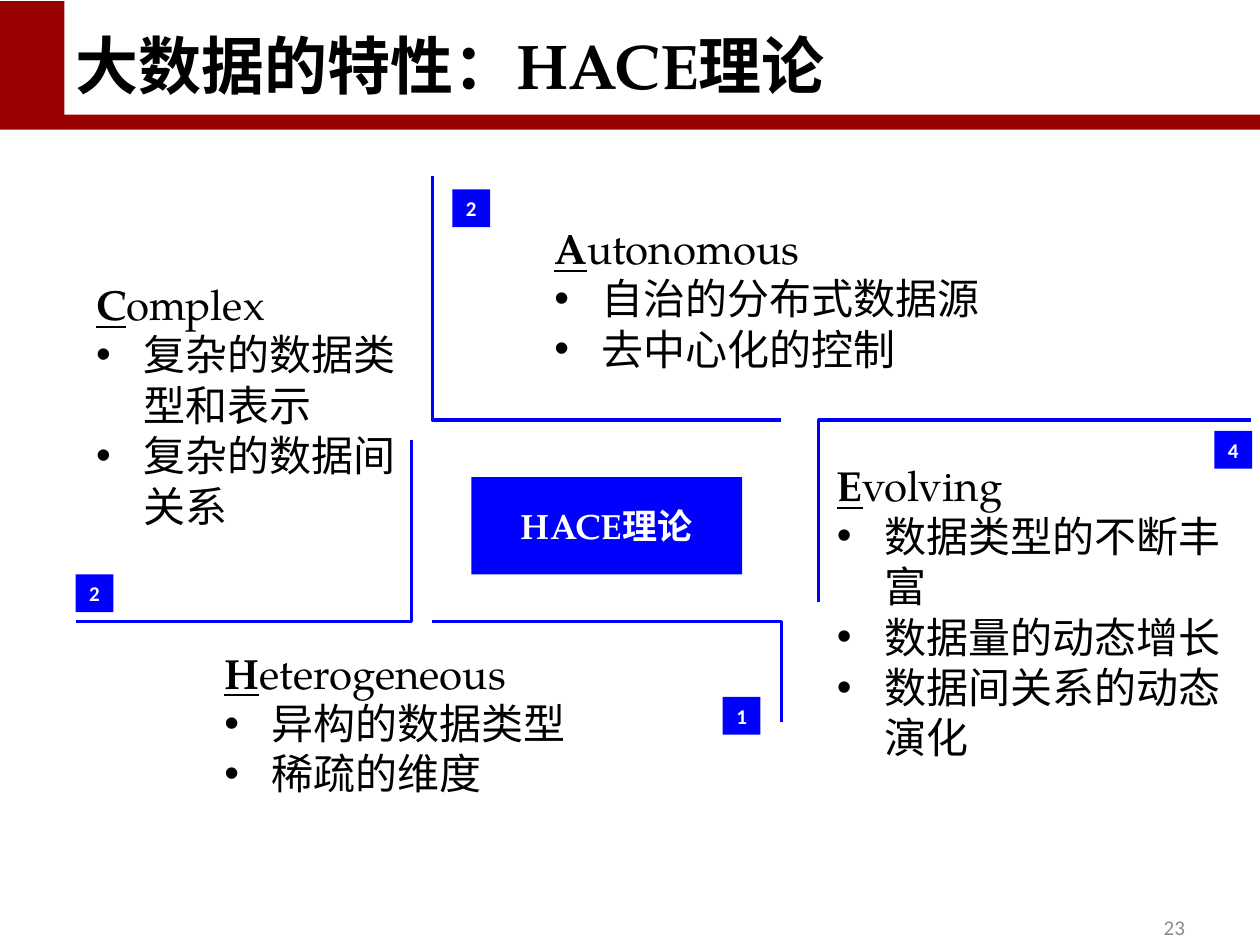
from lxml import etree
from pptx import Presentation
from pptx import util as u
from pptx.dml.color import RGBColor
from pptx.enum import shapes, text
from pptx.oxml import ns

Pt = u.Pt
LATIN, CJK, SANS = "TeX Gyre Pagella", "Noto Sans CJK SC", "Calibri"
BLUE, WHITE, BLACK = "0000FF", "FFFFFF", "000000"


def paint(color_format, color):
    color_format.rgb = RGBColor.from_string(color)


def write(paragraph, words, face, color, **style):
    run = paragraph.add_run()
    run.text = words
    paint(run.font.color, color)
    for key, value in {"name": face, **style}.items():
        setattr(run.font, key, value)
    etree.SubElement(run.font._element, ns.qn("a:ea"), typeface=face)


deck = Presentation()
deck.slide_width, deck.slide_height = Pt(720), Pt(540)
slide = deck.slides.add_slide(deck.slide_layouts[6])
canvas = slide.shapes
flush = {"margin_left": 0, "margin_top": 0, "margin_right": 0, "margin_bottom": 0,
         "vertical_anchor": text.MSO_ANCHOR.MIDDLE}

for box, color in [((0, 0.72, 720, 73.4), "990000"), ((36.8, 0, 683.2, 65.5), WHITE)]:
    band = canvas.add_shape(shapes.MSO_SHAPE.RECTANGLE, *map(Pt, box))
    band.shadow.inherit = False
    band.fill.solid()
    paint(band.fill.fore_color, color)
    band.line.fill.background()

title = canvas.add_textbox(Pt(36), Pt(10), Pt(648), Pt(52)).text_frame
title.word_wrap = True
title.vertical_anchor = text.MSO_ANCHOR.BOTTOM
for words, face in [("大数据的特性：", CJK), ("HACE", LATIN), ("理论", CJK)]:
    write(title.paragraphs[0], words, face, BLACK, size=Pt(36), bold=True)

for start, *rest in [
    [(247, 100.8), (247, 240), (446.4, 240)],
    [(715, 240), (468, 240), (468, 344)],
    [(446.4, 412.6), (446.4, 355), (247, 355)],
    [(43.2, 355), (235.4, 355), (235.4, 251.3)],
]:
    outline = canvas.build_freeform(*map(Pt, start))
    outline.add_line_segments([tuple(map(Pt, point)) for point in rest], close=False)
    bracket = outline.convert_to_shape()
    bracket.shadow.inherit = False
    bracket.fill.background()
    paint(bracket.line.color, BLUE)
    bracket.line.width = Pt(1.75)

side = 21.6
for box, parts, size in [
    ((269.3, 272.6, 154.8, 55.6), [("HACE", LATIN), ("理论", SANS)], 20),
    ((693.9, 246.2, side, side), [("4", SANS)], 12),
    ((413, 398.2, side, side), [("1", SANS)], 12),
    ((43.2, 328.2, side, side), [("2", SANS)], 12),
    ((258.5, 108.2, side, side), [("2", SANS)], 12),
]:
    block = canvas.add_shape(shapes.MSO_SHAPE.RECTANGLE, *map(Pt, box))
    block.shadow.inherit = False
    block.fill.solid()
    paint(block.fill.fore_color, BLUE)
    block.line.fill.background()
    label = block.text_frame
    for key, value in flush.items():
        setattr(label, key, value)
    label.word_wrap = False
    label.paragraphs[0].alignment = text.PP_ALIGN.CENTER
    for words, face in parts:
        write(label.paragraphs[0], words, face, WHITE, size=Pt(size), bold=True)

for box, heading, points in [
    ((128.2, 369.4, 256.3, 87.1), "Heterogeneous", ["异构的数据类型", "稀疏的维度"]),
    ((316.8, 126.7, 258.5, 87.1), "Autonomous", ["自治的分布式数据源", "去中心化的控制"]),
    ((54.9, 158.4, 180, 145.4), "Complex", ["复杂的数据类型和表示", "复杂的数据间关系"]),
    ((478.3, 262.1, 226.1, 174.2), "Evolving",
     ["数据类型的不断丰富", "数据量的动态增长", "数据间关系的动态演化"]),
]:
    trait = canvas.add_textbox(*map(Pt, box)).text_frame
    for key, value in flush.items():
        setattr(trait, key, value)
    trait.word_wrap = True
    head = trait.paragraphs[0]
    write(head, heading[0], LATIN, BLACK, size=Pt(24), bold=True, underline=True)
    write(head, heading[1:], LATIN, BLACK, size=Pt(24))
    for words in points:
        point = trait.add_paragraph()
        layout = point._p.get_or_add_pPr()
        layout.set("marL", str(Pt(27)))
        layout.set("indent", str(-Pt(27)))
        etree.SubElement(layout, ns.qn("a:buFont"), typeface="Arial")
        etree.SubElement(layout, ns.qn("a:buChar"), char="•")
        write(point, words, CJK, BLACK, size=Pt(24))

number = canvas.add_textbox(Pt(516.2), Pt(515.5), Pt(168), Pt(28.8)).text_frame
number.word_wrap = True
number.vertical_anchor = text.MSO_ANCHOR.MIDDLE
number.paragraphs[0].alignment = text.PP_ALIGN.RIGHT
write(number.paragraphs[0], "23", SANS, "8C8C8C", size=Pt(12))

deck.save("out.pptx")
